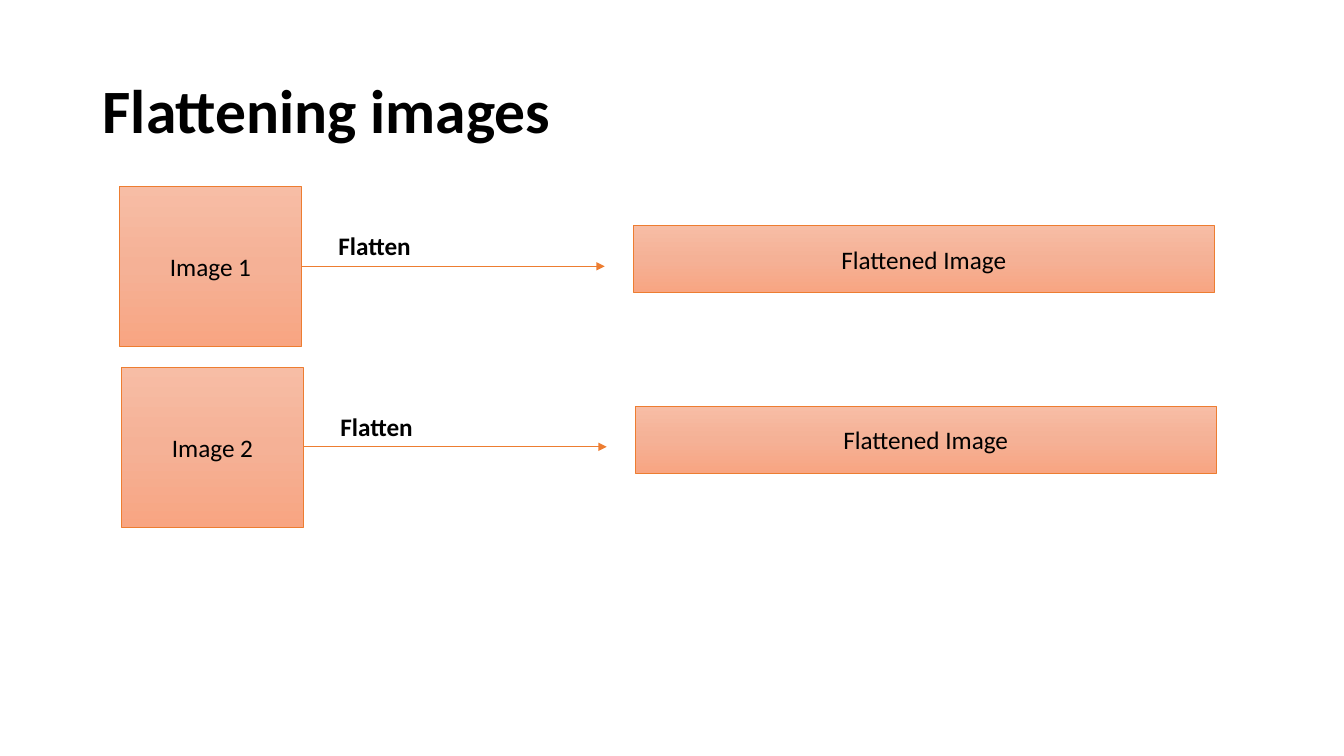
from copy import deepcopy

from lxml.etree import SubElement
from pptx import Presentation
from pptx.dml.color import RGBColor
from pptx.enum.shapes import MSO_CONNECTOR, MSO_SHAPE
from pptx.enum.text import MSO_ANCHOR, MSO_AUTO_SIZE, PP_ALIGN
from pptx.oxml.ns import qn
from pptx.util import Cm, Pt

COLORS = {
    "text": "000000",
    "line": "ED7D31",
    "top": "F7BDA5",
    "middle": "F5B196",
    "bottom": "F8A582",
}
FONT = "Calibri"
ROW_SHIFT = 0.05
ROW_STEP = 4.55


def rgb(name):
    return RGBColor.from_string(COLORS[name])


def set_text(sp, text, size, bold=False, align=PP_ALIGN.LEFT, anchor=MSO_ANCHOR.TOP):
    tf = sp.text_frame
    tf.word_wrap = True
    tf.vertical_anchor = anchor
    p = tf.paragraphs[0]
    p.text = text
    p.alignment = align
    r = p.runs[0]
    r.font.name = FONT
    r.font.size = Pt(size)
    r.font.bold = bold
    r.font.color.rgb = rgb("text")
    return p


def add_title(s, text):
    sp = s.shapes.add_textbox(Cm(2.34), Cm(1.02), Cm(29.21), Cm(3.68))
    p = set_text(sp, text, 44, bold=True, anchor=MSO_ANCHOR.MIDDLE)
    p.line_spacing = 0.9


def add_label(s, text, x, y, w, h):
    sp = s.shapes.add_textbox(Cm(x), Cm(y), Cm(w), Cm(h))
    set_text(sp, text, 18, bold=True)
    sp.text_frame.auto_size = MSO_AUTO_SIZE.SHAPE_TO_FIT_TEXT


def fill_gradient(sp):
    sp.fill.gradient()
    sp.fill.gradient_angle = 270
    stop_list = next(sp._element.spPr.iter(qn("a:gsLst")))
    stop_list.insert(1, deepcopy(stop_list[0]))
    names = ("top", "middle", "bottom")
    for stop, name, position in zip(sp.fill.gradient_stops, names, (0, 0.5, 1)):
        stop.color.rgb = rgb(name)
        stop.position = position


def add_box(s, text, x, y, w, h):
    sp = s.shapes.add_shape(MSO_SHAPE.RECTANGLE, Cm(x), Cm(y), Cm(w), Cm(h))
    sp.shadow.inherit = False
    fill_gradient(sp)
    sp.line.color.rgb = rgb("line")
    sp.line.width = Pt(0.5)
    set_text(sp, text, 18, align=PP_ALIGN.CENTER, anchor=MSO_ANCHOR.MIDDLE)


def add_arrow(s, x1, x2, y):
    c = s.shapes.add_connector(MSO_CONNECTOR.STRAIGHT, Cm(x1), Cm(y), Cm(x2), Cm(y))
    c.line.color.rgb = rgb("line")
    c.line.width = Pt(0.5)
    SubElement(c.line._get_or_add_ln(), qn("a:tailEnd"), type="triangle")
    SubElement(c._element.spPr, qn("a:effectLst"))


def add_flatten_row(s, index):
    dx, dy = index * ROW_SHIFT, index * ROW_STEP
    add_box(s, f"Image {index + 1}", 3.02 + dx, 4.7 + dy, 4.57, 4.04)
    add_arrow(s, 7.59 + dx, 15.24 + dx, 6.71 + dy)
    add_label(s, "Flatten", 8.28 + dx, 5.69 + dy, 2.59, 1.02)
    add_box(s, "Flattened Image", 15.95 + dx, 5.69 + dy, 14.66, 1.68)


def main():
    prs = Presentation()
    prs.slide_width, prs.slide_height = Cm(33.87), Cm(19.05)
    s = prs.slides.add_slide(prs.slide_layouts[6])
    add_title(s, "Flattening images")
    for index in range(2):
        add_flatten_row(s, index)
    prs.save("out.pptx")


if __name__ == "__main__":
    main()
